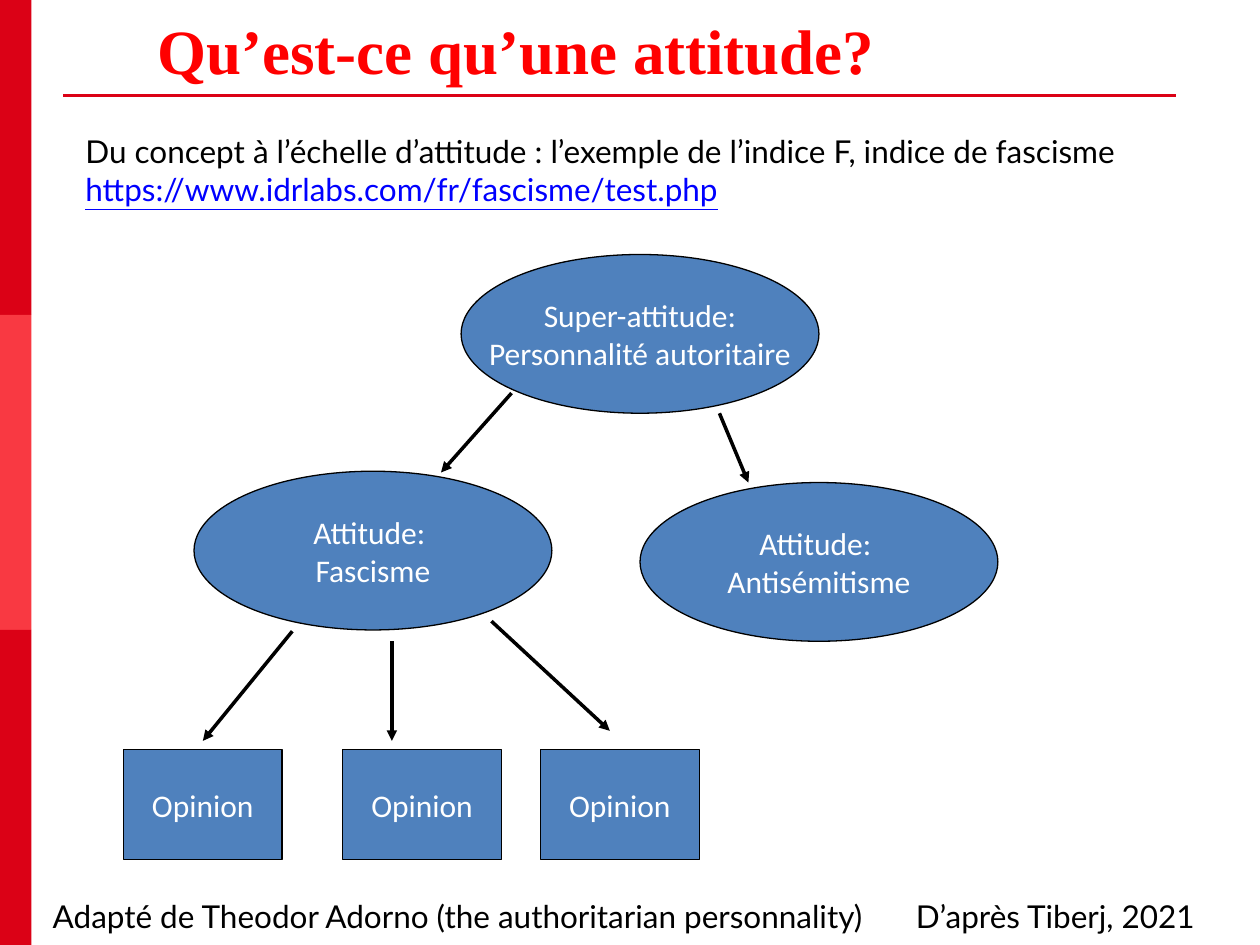
from pptx import Presentation
from pptx.dml.color import RGBColor
from pptx.enum.shapes import MSO_CONNECTOR, MSO_SHAPE
from pptx.enum.text import MSO_ANCHOR, MSO_AUTO_SIZE, PP_ALIGN
from pptx.oxml.ns import qn
from pptx.util import Inches, Pt
from lxml import etree

RECTANGLE, ELLIPSE = MSO_SHAPE.RECTANGLE, MSO_SHAPE.OVAL
STRAIGHT = MSO_CONNECTOR.STRAIGHT
TOP, MIDDLE = MSO_ANCHOR.TOP, MSO_ANCHOR.MIDDLE
LEFT, CENTER = PP_ALIGN.LEFT, PP_ALIGN.CENTER
GROW, NO_FIT = MSO_AUTO_SIZE.SHAPE_TO_FIT_TEXT, MSO_AUTO_SIZE.NONE

WHITE = RGBColor(0xFF, 0xFF, 0xFF)
BLACK = RGBColor(0x00, 0x00, 0x00)
RED = RGBColor(0xDB, 0x01, 0x16)
LIGHT_RED = RGBColor(0xF9, 0x39, 0x42)
TITLE_RED = RGBColor(0xFF, 0x00, 0x00)
NODE_BLUE = RGBColor(0x4F, 0x81, 0xBD)
LINK_BLUE = RGBColor(0x00, 0x00, 0xFF)

WIDTH, HEIGHT = 10, 7.5
BAND_WIDTH = WIDTH / 40
ELLIPSE_SIZE = (2.84, 1.26)
OPINION_SIZE = (1.26, 0.87)
OPINION_TOP = 5.95

TITLE_FONT = {"name": "Times New Roman", "size": Pt(36), "bold": True}
NODE_FONT = {"name": "Calibri", "size": Pt(18)}
NOTE_FONT = {"name": "Lato", "size": Pt(18)}

ELLIPSES = [
    (3.66, 2.02, ["Super-attitude:", "Personnalité autoritaire"]),
    (1.54, 3.74, ["Attitude: ", "Fascisme"]),
    (5.08, 3.83, ["Attitude: ", "Antisémitisme"]),
]
OPINION_LEFTS = [0.98, 2.72, 4.29]
ARROWS = [
    ((4.06, 3.12), (3.5, 3.75)),
    ((5.71, 3.28), (5.94, 3.83)),
    ((2.32, 5.01), (1.61, 5.88)),
    ((3.11, 5.09), (3.11, 5.88)),
    ((3.9, 4.93), (4.84, 5.8)),
]


def set_all(target, values):
    for name, value in values.items():
        setattr(target, name, value)


def write(frame, lines, font, color, align=LEFT):
    """Fill a text frame with one paragraph per line."""
    for index, line in enumerate(lines):
        para = frame.paragraphs[0] if index == 0 else frame.add_paragraph()
        para.alignment = align
        span = para.add_run()
        span.text = line
        set_all(span.font, font)
        span.font.color.rgb = color


def add_filled(slide, kind, left, top, size, color):
    shape = slide.shapes.add_shape(
        kind, Inches(left), Inches(top), *map(Inches, size))
    shape.shadow.inherit = False
    shape.fill.solid()
    shape.fill.fore_color.rgb = color
    shape.line.fill.background()
    return shape


def add_node(slide, kind, left, top, size, lines):
    node = add_filled(slide, kind, left, top, size, NODE_BLUE)
    node.line.color.rgb = BLACK
    node.line.width = Pt(0.75)
    set_all(node.text_frame, {"word_wrap": False, "vertical_anchor": MIDDLE})
    write(node.text_frame, lines, NODE_FONT, WHITE, CENTER)


def add_line(slide, start, end, color, width):
    line = slide.shapes.add_connector(STRAIGHT, *map(Inches, start + end))
    line.line.color.rgb = color
    line.line.width = Pt(width)
    etree.SubElement(line._element.spPr, qn("a:effectLst"))
    return line


def add_arrow(slide, start, end):
    arrow = add_line(slide, start, end, BLACK, 2)
    etree.SubElement(arrow.line._get_or_add_ln(), qn("a:tailEnd"),
                     type="triangle")


def add_note(slide, left, top, width, height, lines, wrap=True):
    box = slide.shapes.add_textbox(*map(Inches, (left, top, width, height)))
    set_all(box.text_frame, {"word_wrap": wrap, "auto_size": GROW})
    write(box.text_frame, lines, NOTE_FONT, BLACK)
    return box


def add_title(slide, text):
    title = slide.shapes.title
    set_all(title, {"left": Inches(1.25), "top": Inches(0.09),
                    "width": Inches(8.2), "height": Inches(1.25)})
    set_all(title.text_frame, {
        "margin_left": 0, "margin_top": 0, "margin_right": 0,
        "margin_bottom": 0, "vertical_anchor": TOP, "word_wrap": True,
        "auto_size": NO_FIT})
    write(title.text_frame, [text], TITLE_FONT, TITLE_RED)


def main():
    deck = Presentation()
    deck.slide_width, deck.slide_height = Inches(WIDTH), Inches(HEIGHT)
    slide = deck.slides.add_slide(deck.slide_layouts[5])

    # Side band in three equal parts, and the rule under the title
    band_height = HEIGHT / 3
    for row, color in enumerate([RED, LIGHT_RED, RED]):
        add_filled(slide, RECTANGLE, 0, row * band_height,
                   (BAND_WIDTH, band_height), color)
    add_line(slide, (0.5, 0.76), (9.33, 0.76), RED, 1.5)
    add_title(slide, "Qu’est-ce qu’une attitude?")

    # Tree from the super-attitude down to opinions
    for left, top, lines in ELLIPSES:
        add_node(slide, ELLIPSE, left, top, ELLIPSE_SIZE, lines)
    for left in OPINION_LEFTS:
        add_node(slide, RECTANGLE, left, OPINION_TOP, OPINION_SIZE,
                 ["Opinion"])
    for start, end in ARROWS:
        add_arrow(slide, start, end)

    # Introduction with its web address, and the sources
    intro = add_note(slide, 0.58, 1, 8.87, 0.71, [
        "Du concept à l’échelle d’attitude : l’exemple de l’indice F, "
        "indice de fascisme",
        "https://www.idrlabs.com/fr/fascisme/test.php"])
    address = intro.text_frame.paragraphs[1].runs[0]
    address.font.underline = True
    address.font.color.rgb = LINK_BLUE
    add_note(slide, 0.32, 7.07, 6.67, 0.4, [
        "Adapté de Theodor Adorno (the authoritarian personnality)"],
        wrap=False)
    add_note(slide, 7.17, 7.07, 2.42, 0.4, ["D’après Tiberj, 2021"])

    deck.save("out.pptx")


if __name__ == "__main__":
    main()
